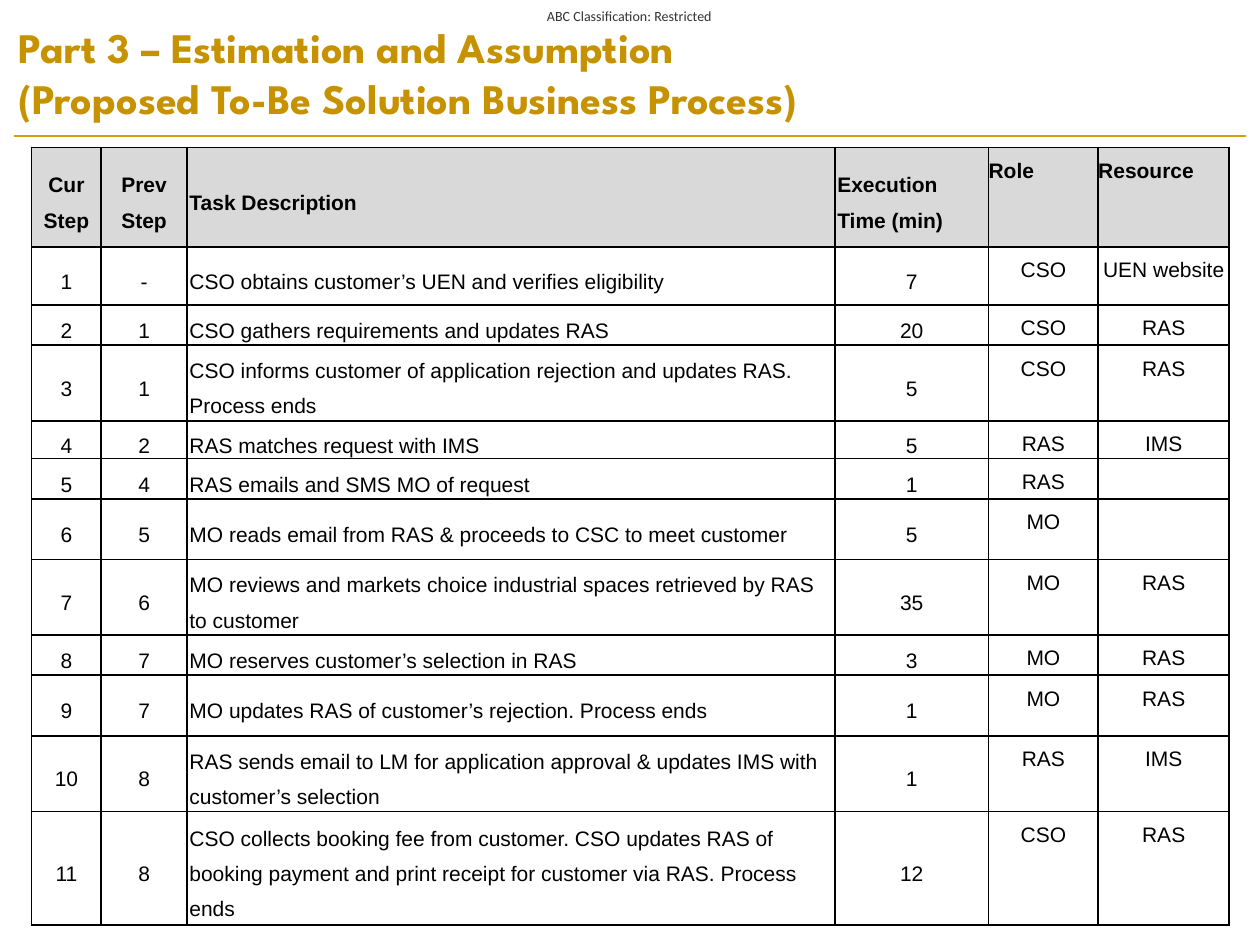
from lxml import etree
from pptx import Presentation
from pptx.dml.color import RGBColor
from pptx.enum.shapes import MSO_CONNECTOR
from pptx.enum.text import MSO_ANCHOR, PP_ALIGN
from pptx.oxml.ns import qn
from pptx.util import Cm, Pt

LEFT, CENTER = PP_ALIGN.LEFT, PP_ALIGN.CENTER
TOP, MIDDLE = MSO_ANCHOR.TOP, MSO_ANCHOR.MIDDLE
STRAIGHT = MSO_CONNECTOR.STRAIGHT

COLORS = {"gold": "C69200", "rule": "D59F0F", "gray": "333333",
          "black": "000000", "header": "D9D9D9"}
FORMATS = {
    "label": {"name": "Calibri", "size": Pt(8), "bold": False},
    "title": {"name": "League Spartan", "size": Pt(24), "bold": True},
    "header": {"name": "Arial", "size": Pt(12), "bold": True},
    "body": {"name": "Arial", "size": Pt(12), "bold": False},
}
COLUMN_WIDTHS = [1.4, 1.73, 13.06, 3.1, 2.21, 2.64]
COLUMN_INSETS = [0, 0.05, 0.05, 0.05, 0, 0]
COLUMN_ANCHORS = [MIDDLE] * 4 + [TOP] * 2
HEADER_ALIGNS = [CENTER] * 2 + [LEFT] * 4
BODY_ALIGNS = [CENTER, CENTER, LEFT, CENTER, CENTER, CENTER]
ROW_HEIGHTS = [2.01, 1.17, 0.81, 1.35, 0.64, 0.81, 1.22, 1.35, 0.81, 1.22, 1.35, 2.08]
HEADERS = ["Cur Step", "Prev Step", "Task Description", "Execution Time (min)",
           "Role", "Resource"]
TASKS = [
    ("-", "CSO obtains customer’s UEN and verifies eligibility", "7", "CSO", "UEN website"),
    ("1", "CSO gathers requirements and updates RAS", "20", "CSO", "RAS"),
    ("1", "CSO informs customer of application rejection and updates RAS. Process ends",
     "5", "CSO", "RAS"),
    ("2", "RAS matches request with IMS", "5", "RAS", "IMS"),
    ("4", "RAS emails and SMS MO of request", "1", "RAS", ""),
    ("5", "MO reads email from RAS & proceeds to CSC to meet customer", "5", "MO", ""),
    ("6", "MO reviews and markets choice industrial spaces retrieved by RAS to customer",
     "35", "MO", "RAS"),
    ("7", "MO reserves customer’s selection in RAS", "3", "MO", "RAS"),
    ("7", "MO updates RAS of customer’s rejection. Process ends", "1", "MO", "RAS"),
    ("8", "RAS sends email to LM for application approval & updates IMS with "
     "customer’s selection", "1", "RAS", "IMS"),
    ("8", "CSO collects booking fee from customer. CSO updates RAS of booking payment "
     "and print receipt for customer via RAS. Process ends", "12", "CSO", "RAS"),
]


class SlideBuilder:
    """Holds the style and the current slide, and adds elements to it."""

    def __init__(self, slide, colors, formats):
        self.s = slide
        self.colors = colors
        self.formats = formats

    def rgb(self, color):
        return RGBColor.from_string(self.colors[color])

    def paragraph(self, p, text, style, color, align):
        p.text = text
        p.alignment = align
        for r in p.runs:
            for name, value in self.formats[style].items():
                setattr(r.font, name, value)
            r.font.color.rgb = self.rgb(color)

    def text(self, box, text, style, color, align, inset):
        sp = self.s.shapes.add_textbox(*map(Cm, box))
        tf = sp.text_frame
        layout = {"word_wrap": True, "vertical_anchor": MIDDLE,
                  "margin_left": Cm(inset), "margin_right": Cm(inset),
                  "margin_top": 0, "margin_bottom": 0}
        for name, value in layout.items():
            setattr(tf, name, value)
        self.paragraph(tf.paragraphs[0], text, style, color, align)

    def line(self, ends, color, width):
        sp = self.s.shapes.add_connector(STRAIGHT, *map(Cm, ends))
        sp.line.color.rgb = self.rgb(color)
        sp.line.width = Pt(width)
        etree.SubElement(sp._element.spPr, qn("a:effectLst"))

    def borders(self, cell, color, width):
        tc_pr = cell._tc.get_or_add_tcPr()
        for i, side in enumerate(("a:lnL", "a:lnR", "a:lnT", "a:lnB")):
            ln = etree.Element(qn(side), w=str(Pt(width)))
            fill = etree.SubElement(ln, qn("a:solidFill"))
            etree.SubElement(fill, qn("a:srgbClr"), val=self.colors[color])
            tc_pr.insert(i, ln)

    def cell(self, cell, text, col, is_header):
        layout = {"vertical_anchor": COLUMN_ANCHORS[col],
                  "margin_left": Cm(COLUMN_INSETS[col]),
                  "margin_right": Cm(COLUMN_INSETS[col]),
                  "margin_top": 0, "margin_bottom": 0}
        for name, value in layout.items():
            setattr(cell, name, value)
        if is_header:
            cell.fill.solid()
            cell.fill.fore_color.rgb = self.rgb("header")
        else:
            cell.fill.background()
        self.borders(cell, "black", 1)
        if text:
            p = cell.text_frame.paragraphs[0]
            p.line_spacing = 1.5
            aligns = HEADER_ALIGNS if is_header else BODY_ALIGNS
            self.paragraph(p, text, "header" if is_header else "body", "black", aligns[col])

    def table(self, left, top, rows):
        size = Cm(sum(COLUMN_WIDTHS)), Cm(sum(ROW_HEIGHTS))
        table = self.s.shapes.add_table(len(rows), len(COLUMN_WIDTHS),
                                        Cm(left), Cm(top), *size).table
        table.horz_banding = False
        for column, width in zip(table.columns, COLUMN_WIDTHS):
            column.width = Cm(width)
        for i, (row, height) in enumerate(zip(rows, ROW_HEIGHTS)):
            table.rows[i].height = Cm(height)
            for j, text in enumerate(row):
                self.cell(table.cell(i, j), text, j, i == 0)


def main():
    prs = Presentation()
    prs.slide_width, prs.slide_height = Cm(25.4), Cm(19.05)
    s = SlideBuilder(prs.slides.add_slide(prs.slide_layouts[6]), COLORS, FORMATS)
    s.line((0.28, 2.74, 25.12, 2.74), "rule", 0.75)
    s.text((10.62, 0, 4.14, 0.64), "ABC Classification: Restricted",
           "label", "gray", CENTER, 0)
    s.text((0.13, 0.3, 25.3, 2.31),
           "Part 3 – Estimation and Assumption \v(Proposed To-Be Solution Business Process)",
           "title", "gold", LEFT, 0.25)
    steps = [(str(i), *task) for i, task in enumerate(TASKS, 1)]
    s.table(0.64, 2.97, [HEADERS, *steps])
    prs.save("out.pptx")


if __name__ == "__main__":
    main()
